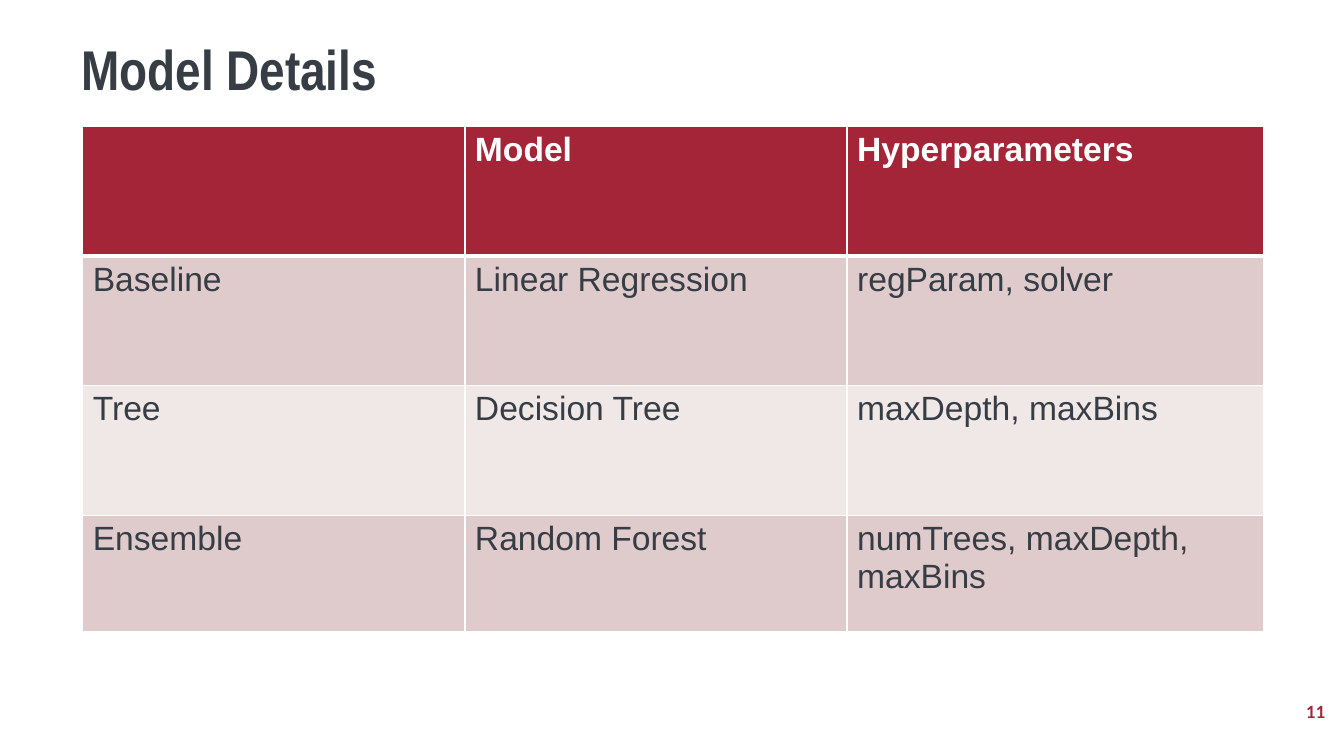
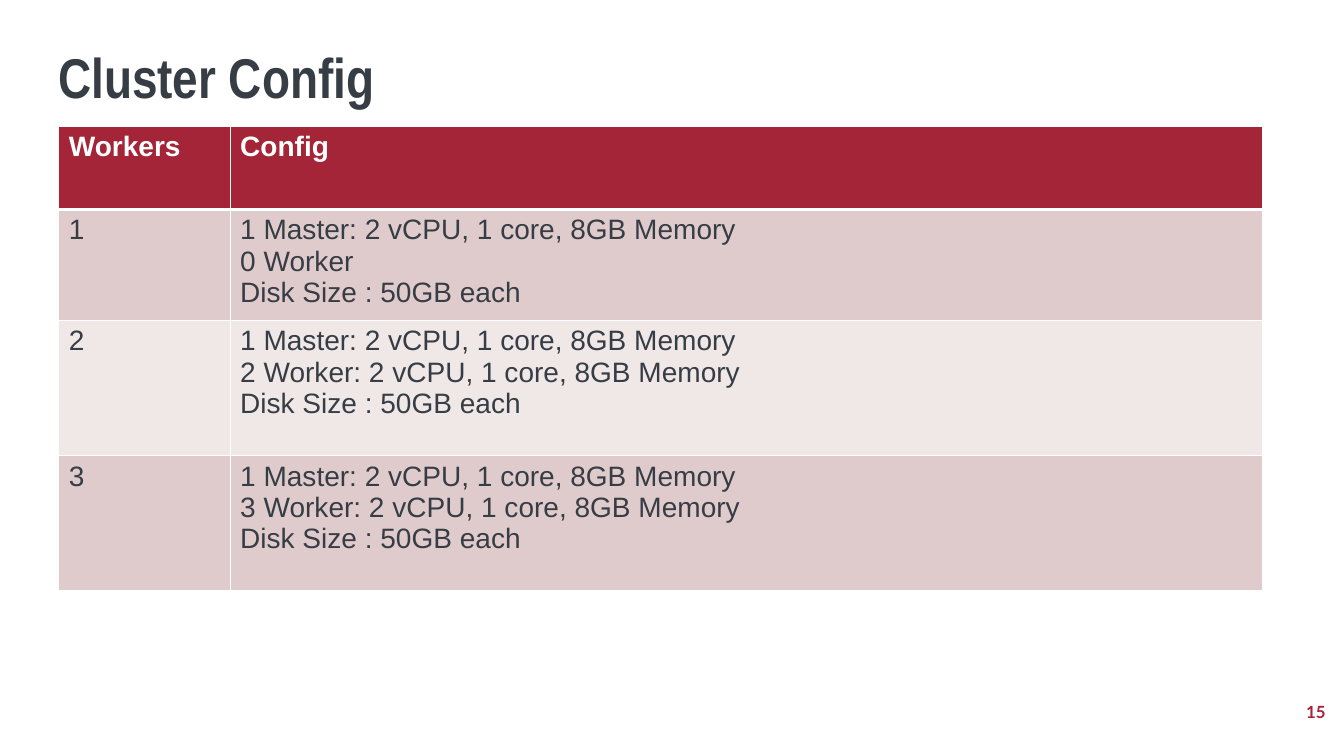
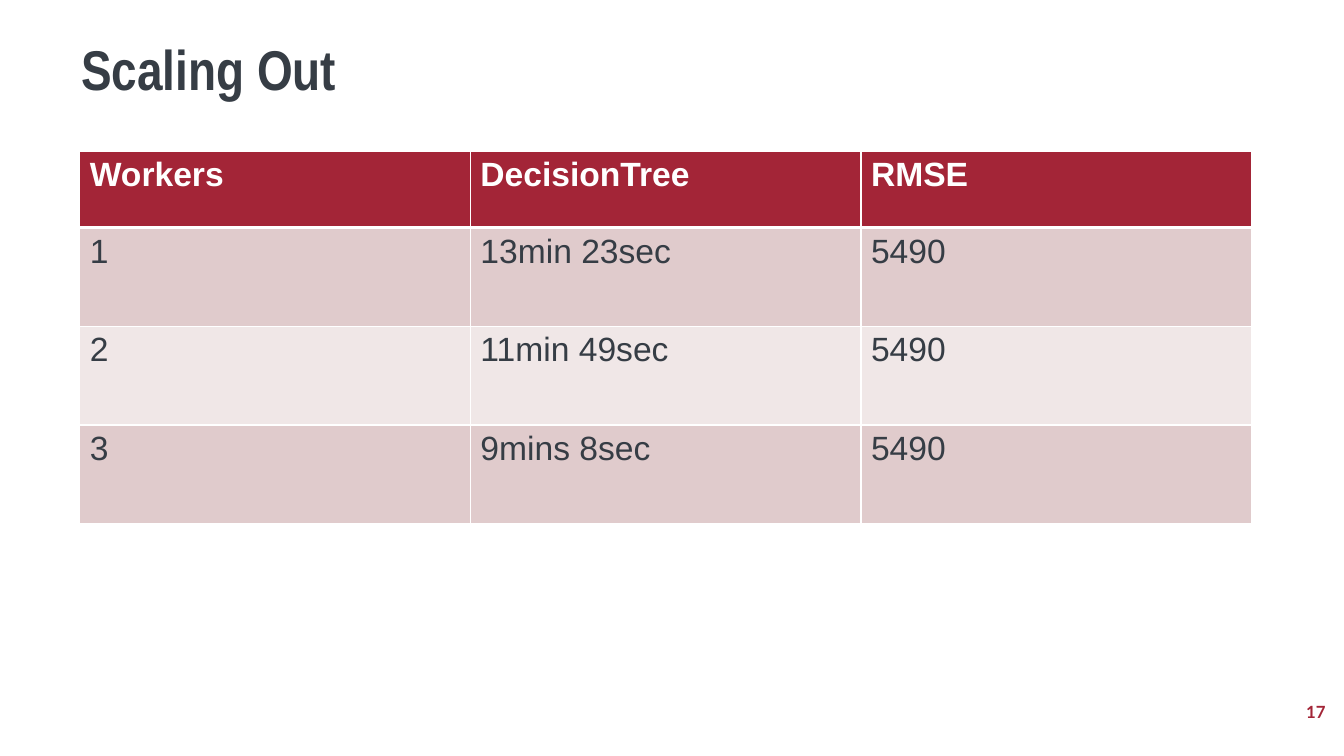
from lxml import etree
from pptx import Presentation
from pptx.dml.color import RGBColor
from pptx.enum.text import MSO_ANCHOR, PP_ALIGN
from pptx.oxml.ns import qn
from pptx.util import Inches, Pt

TOP, MIDDLE = MSO_ANCHOR.TOP, MSO_ANCHOR.MIDDLE
LEFT, RIGHT = PP_ALIGN.LEFT, PP_ALIGN.RIGHT

COLS, ROWS = 160, 90
HUES = {
    "ink": "363D45",
    "red": "A32537",
    "rose": "E0CBCC",
    "pale": "F0E7E7",
    "white": "FFFFFF",
}


def hue(name):
    return RGBColor.from_string(HUES[name])


def write(frame, text, size=24, font="Arial", color="ink", bold=False,
          align=LEFT, space=None):
    """Fill a text frame, one paragraph for each line of text."""
    for i, line in enumerate(text.split("\n")):
        para = frame.add_paragraph() if i else frame.paragraphs[0]
        para.alignment = align
        if space:
            para.line_spacing = space
        run = para.add_run()
        run.text = line
        run.font.size, run.font.name, run.font.bold = Pt(size), font, bold
        run.font.color.rgb = hue(color)


def edge(cell, top=1, base=1):
    """Draw white lines around a cell; widths in points."""
    props = cell._tc.get_or_add_tcPr()
    sides = {"lnL": 1, "lnR": 1, "lnT": top, "lnB": base}
    for i, (side, width) in enumerate(sides.items()):
        line = etree.Element(qn("a:" + side), w=str(Pt(width)))
        fill = etree.SubElement(line, qn("a:solidFill"))
        etree.SubElement(fill, qn("a:srgbClr"), val=HUES["white"])
        props.insert(i, line)


class Deck:
    """Holds the shared style and the current slide; lengths are grid cells."""

    def __init__(self):
        self.prs = Presentation()
        self.prs.slide_width = Inches(13.33)
        self.prs.slide_height = Inches(7.5)
        self.slide = None

    def x(self, cols):
        return round(self.prs.slide_width * cols / COLS)

    def y(self, rows):
        return round(self.prs.slide_height * rows / ROWS)

    def text(self, text, left, top, width, height, anchor=TOP, **style):
        box = self.slide.shapes.add_textbox(
            self.x(left), self.y(top), self.x(width), self.y(height))
        box.text_frame.word_wrap = True
        box.text_frame.vertical_anchor = anchor
        write(box.text_frame, text, **style)

    def page(self, title, number, left=8.5, top=4.4):
        self.slide = self.prs.slides.add_slide(self.prs.slide_layouts[6])
        self.text(title, left, top, 140.5, 9.6, size=40,
                  font="Arial Narrow", bold=True, space=0.9)
        self.text(str(number), 123, 82.3, 36, 4.8, anchor=MIDDLE, size=12,
                  font="Lato", color="red", bold=True, align=RIGHT)

    def table(self, data, left, top, widths, heights, size=24):
        grid = self.slide.shapes.add_table(
            len(data), len(widths), self.x(left), self.y(top),
            self.x(sum(widths)), self.y(sum(heights))).table
        for col, width in zip(grid.columns, widths):
            col.width = self.x(width)
        for r, line in enumerate(data):
            grid.rows[r].height = self.y(heights[r])
            head = r == 0
            back = "red" if head else "rose" if r % 2 else "pale"
            for c, text in enumerate(line):
                cell = grid.cell(r, c)
                cell.fill.solid()
                cell.fill.fore_color.rgb = hue(back)
                edge(cell, top=3 if r == 1 else 1, base=3 if head else 1)
                write(cell.text_frame, text, size=size, bold=head,
                      color="white" if head else "ink")


def setup(workers):
    spec = "2 vCPU, 1 core, 8GB Memory"
    return f"1 Master: {spec}\n{workers} Worker: {spec}\nDisk Size : 50GB each"


def main():
    deck = Deck()

    deck.page("Model Details", 11)
    deck.table([
        ("", "Model", "Hyperparameters"),
        ("Baseline", "Linear Regression", "regParam, solver"),
        ("Tree", "Decision Tree", "maxDepth, maxBins"),
        ("Ensemble", "Random Forest", "numTrees, maxDepth, maxBins"),
    ], 9.85, 15, [45.5, 45.5, 49.6], [15.45] * 3 + [13.9])

    deck.page("Cluster Config", 15, left=5.75, top=5.4)
    deck.table([
        ("Workers", "Config"),
        ("1", "1 Master: 2 vCPU, 1 core, 8GB Memory\n0 Worker\n"
              "Disk Size : 50GB each"),
        ("2", setup(2)),
        ("3", setup(3)),
    ], 7, 15, [20.4, 122.9], [9.95, 12.35, 16.1, 16.1], size=20)

    deck.page("Scaling Out", 17)
    deck.table([
        ("Workers", "DecisionTree", "RMSE"),
        ("1", "13min 23sec", "5490"),
        ("2", "11min 49sec", "5490"),
        ("3", "9mins 8sec", "5490"),
    ], 9.5, 18, [46.5] * 3, [9.1] + [11.75] * 3)

    deck.prs.save("out.pptx")


if __name__ == "__main__":
    main()
